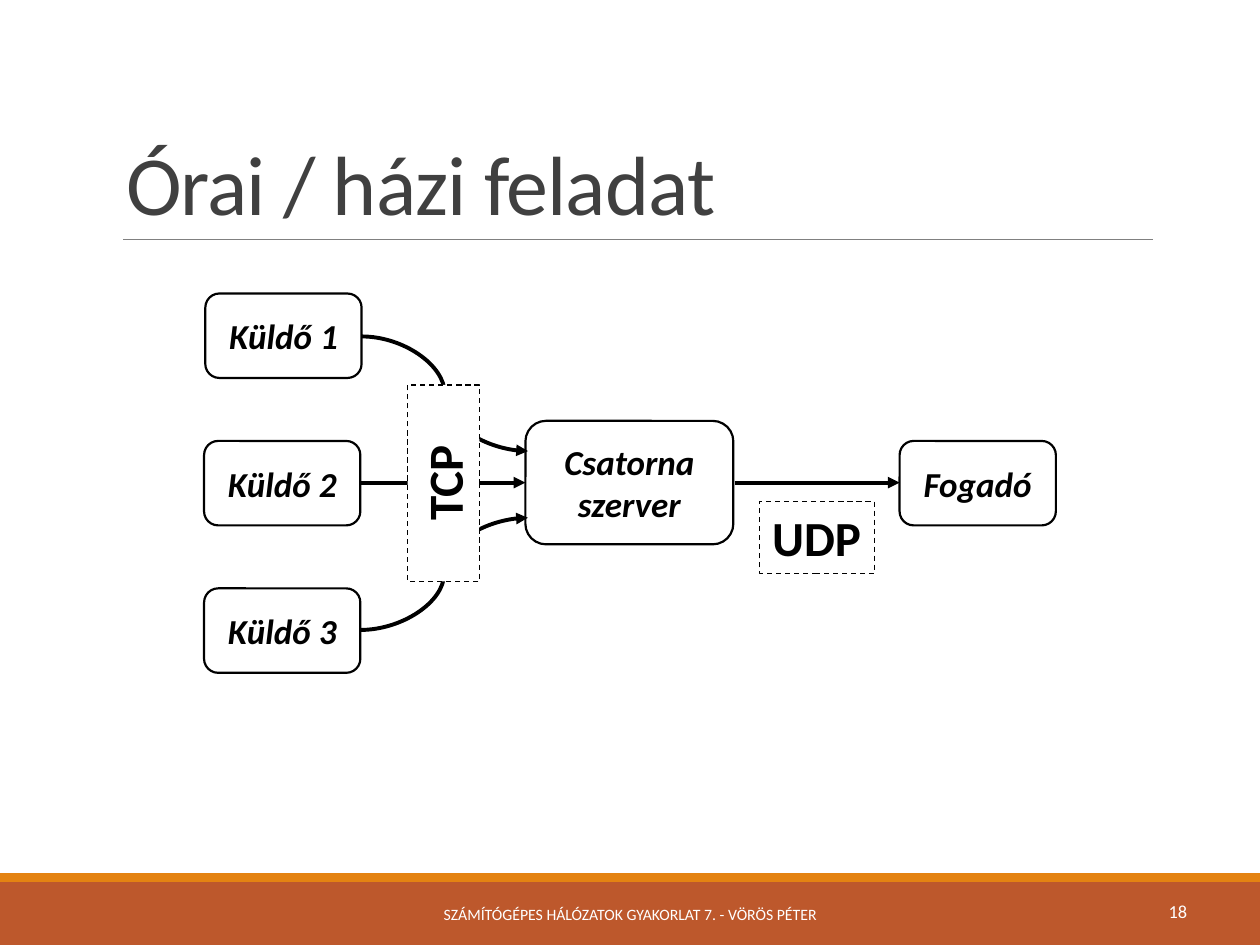
import pptx
import pptx.util
import pptx.dml.color
import pptx.enum.dml
import pptx.enum.shapes
import pptx.enum.text
import pptx.oxml.ns
import lxml.etree

Inches = pptx.util.Inches
Pt = pptx.util.Pt
Kind = pptx.enum.shapes.MSO_SHAPE
Link = pptx.enum.shapes.MSO_CONNECTOR
Align = pptx.enum.text.PP_ALIGN
Anchor = pptx.enum.text.MSO_ANCHOR
qn = pptx.oxml.ns.qn

INK = {"black": "000000", "white": "FFFFFF", "title": "404040",
       "rule": "808080", "rust": "BD582C", "amber": "E48312"}


class Deck:
    """Holds the style and the current slide, with a method per element."""

    def __init__(self, font):
        self.font = font
        self.show = pptx.Presentation()
        self.show.slide_width = Inches(10)
        self.show.slide_height = Inches(7.5)
        self.slide = self.show.slides.add_slide(self.show.slide_layouts[5])

    def tint(self, name):
        return pptx.dml.color.RGBColor.from_string(INK[name])

    def text(self, frame, lines, size, ink, align, anchor, bold=False, slant=False):
        frame.vertical_anchor = anchor
        for i, line in enumerate(lines):
            para = frame.add_paragraph() if i else frame.paragraphs[0]
            para.alignment = align
            run = para.add_run()
            run.text = line
            font = run.font
            font.name, font.size = self.font, Pt(size)
            font.bold, font.italic = bold, slant
            font.color.rgb = self.tint(ink)

    def title(self, words, *area):
        head = self.slide.shapes.title
        head.left, head.top, head.width, head.height = map(Inches, area)
        frame = head.text_frame
        frame.auto_size = pptx.enum.text.MSO_AUTO_SIZE.NONE
        self.text(frame, [words], 48, "title", Align.LEFT, Anchor.BOTTOM)
        para = frame.paragraphs[0]
        para.line_spacing = 0.85
        para.runs[0].font._element.set("spc", "-50")

    def note(self, words, area, size, align):
        box = self.slide.shapes.add_textbox(*map(Inches, area))
        box.text_frame.word_wrap = True
        self.text(box.text_frame, [words], size, "white", align, Anchor.MIDDLE)

    def shape(self, kind, area, fill=None, line=None):
        item = self.slide.shapes.add_shape(kind, *map(Inches, area))
        item.shadow.inherit = False
        if fill:
            item.fill.solid()
            item.fill.fore_color.rgb = self.tint(fill)
        else:
            item.fill.background()
        if line:
            item.line.color.rgb = self.tint("black")
            item.line.width = Pt(line)
        else:
            item.line.fill.background()
        return item

    def node(self, lines, *area):
        item = self.shape(Kind.FLOWCHART_ALTERNATE_PROCESS, area, line=1.25)
        self.text(item.text_frame, lines, 20, "black", Align.CENTER,
                  Anchor.MIDDLE, True, True)

    def label(self, words, area, align, turn=0, wrap=True):
        item = self.shape(Kind.RECTANGLE, area, "white", 0.75)
        item.line.dash_style = pptx.enum.dml.MSO_LINE.DASH
        item.rotation = turn
        item.text_frame.word_wrap = wrap
        self.text(item.text_frame, [words], 28, "black", align, Anchor.TOP, True)

    def link(self, kind, ends, ink="black", width=2.25, arrow=True):
        item = self.slide.shapes.add_connector(kind, *map(Inches, ends))
        item.line.color.rgb = self.tint(ink)
        item.line.width = Pt(width)
        props = item._element.spPr
        if arrow:
            tail = lxml.etree.SubElement(props.find(qn("a:ln")), qn("a:tailEnd"))
            tail.set("type", "triangle")
        lxml.etree.SubElement(props, qn("a:effectLst"))


deck = Deck("Calibri")
deck.shape(Kind.RECTANGLE, (0, 7, 10, 0.5), "rust")
deck.shape(Kind.RECTANGLE, (0, 6.93, 10, 0.07), "amber")
deck.link(Link.STRAIGHT, (0.98, 1.9, 9.15, 1.9), "rule", 0.5, False)
deck.title("Órai / házi feladat", 0.9, 0.31, 8.25, 1.59)
deck.note("SZÁMÍTÓGÉPES HÁLÓZATOK GYAKORLAT 7. - VÖRÖS PÉTER",
          (3.02, 7.06, 3.96, 0.4), 9, Align.CENTER)
deck.note("18", (7.19, 7.03, 2.33, 0.4), 10.5, Align.RIGHT)

MID = 3.83
deck.node(["Csatorna", "szerver"], 4.17, 3.34, 1.65, 0.98)
for i, left in enumerate((1.63, 1.62, 1.62)):
    deck.node([f"Küldő {i + 1}"], left, 2.33 + i * 1.17, 1.24, 0.67)
deck.node(["Fogadó"], 7.14, 3.5, 1.24, 0.67)

for start, end in ((2.86, 4.17), (5.83, 7.14)):
    deck.link(Link.STRAIGHT, (start, MID, end, MID))
deck.link(Link.CURVE, (2.87, 2.67, 4.19, 3.58))
deck.link(Link.CURVE, (2.86, 5, 4.19, 4.11))

deck.label("TCP", (2.74, 3.55, 1.56, 0.57), Align.CENTER, turn=270)
deck.label("UDP", (6.03, 3.98, 0.91, 0.57), Align.LEFT, wrap=False)

deck.show.save("out.pptx")
